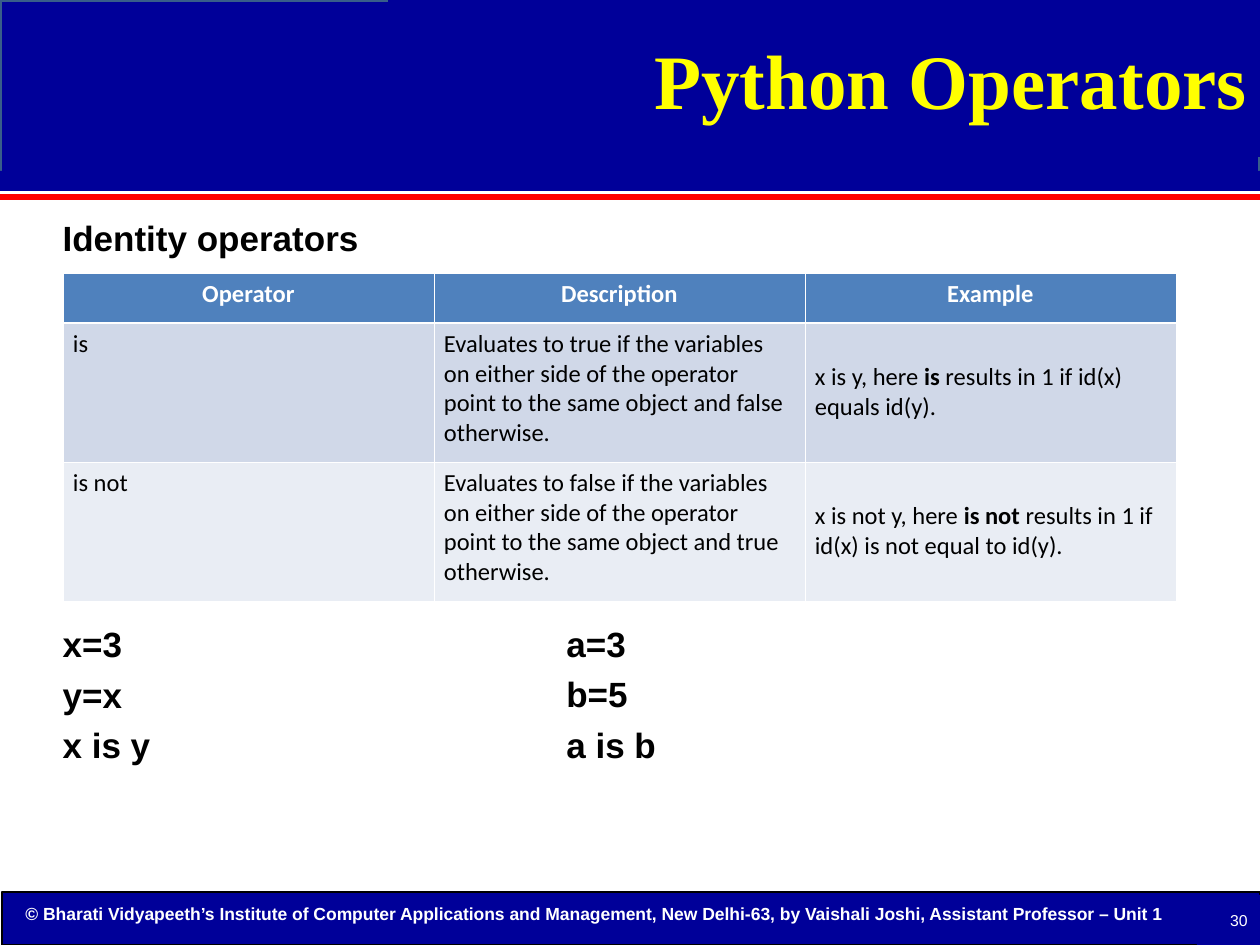
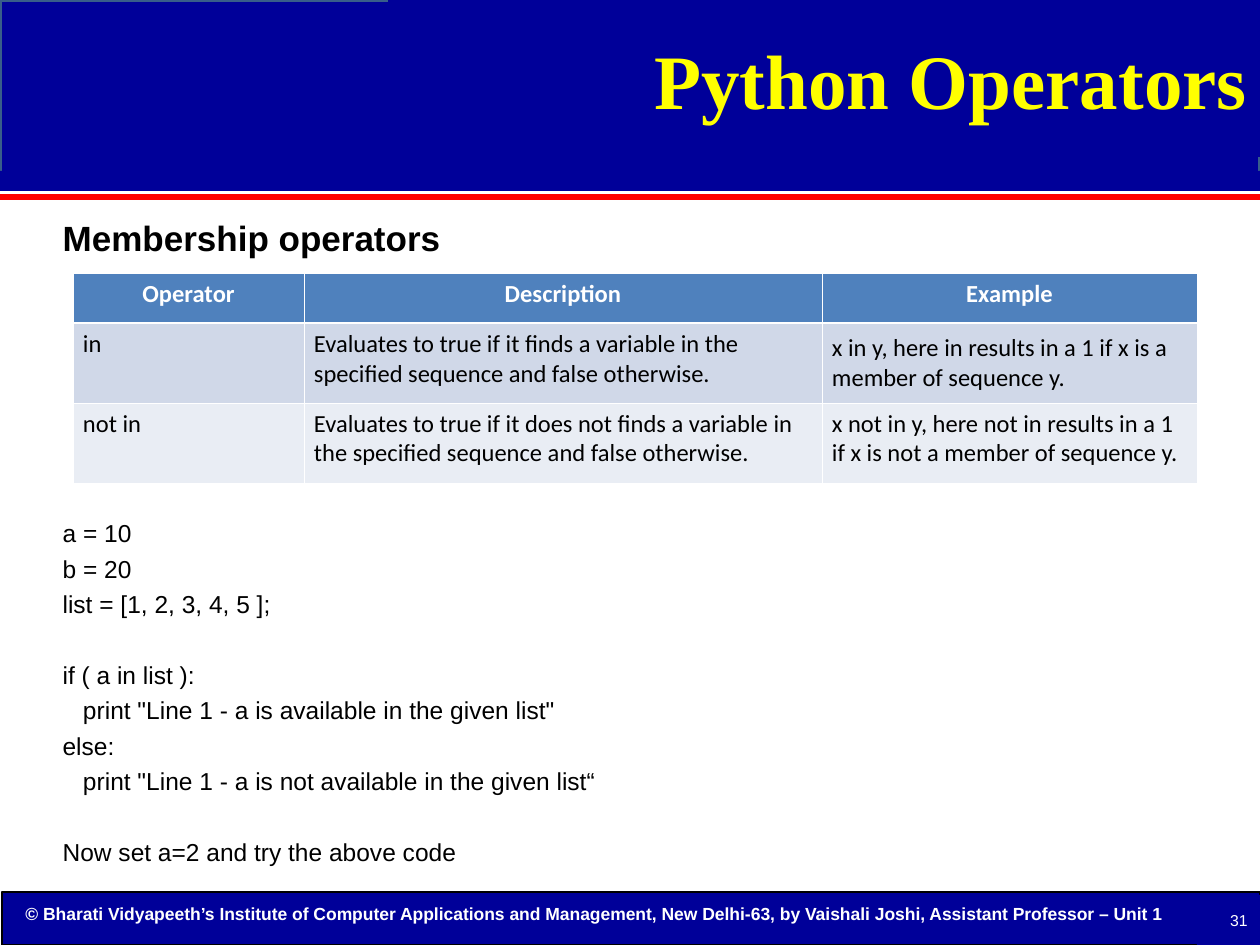
"""Build two slides on Python identity and membership operators."""
import pptx
import pptx.dml.color
import pptx.enum.shapes
import pptx.enum.text
import pptx.oxml
import pptx.oxml.ns
import pptx.util
from lxml import etree

PX = 914400 / 126
Pt = pptx.util.Pt
ALIGN = pptx.enum.text.PP_ALIGN
ANCHOR = pptx.enum.text.MSO_ANCHOR

COLOURS = {
    "navy": "000099", "red": "FF0000", "yellow": "FFFF00", "white": "FFFFFF",
    "black": "000000", "edge": "385D8A", "head": "4F81BD",
    "odd": "D0D8E8", "even": "E9EDF4",
}
RGB = {k: pptx.dml.color.RGBColor.from_string(v) for k, v in COLOURS.items()}

FORMATS = {
    "title": ("yellow", {"name": "Times New Roman", "size": Pt(44), "bold": True}),
    "heading": ("black", {"name": "Arial", "size": Pt(20), "bold": True}),
    "code": ("black", {"name": "Arial", "size": Pt(14), "bold": False}),
    "footer": ("white", {"name": "Arial", "size": Pt(10), "bold": True}),
    "number": ("white", {"name": "Arial", "size": Pt(9), "bold": False}),
    "th": ("white", {"name": "Calibri", "size": Pt(14), "bold": True}),
    "td": ("black", {"name": "Calibri", "size": Pt(14), "bold": False}),
}
FOOTER = ("© Bharati Vidyapeeth’s Institute of Computer Applications and Management, "
          "New Delhi-63, by Vaishali Joshi, Assistant Professor – Unit 1")
BANDS = [
    ((2, 892, 1258, 53), "navy", ("black", 0.75)),
    ((0, 0, 1260, 179), "navy", ("edge", 2)),
    ((0, 171, 1260, 20), "navy", None),
    ((0, 194, 1260, 6), "red", None),
]
HEADER = ["Operator", "Description", "Example"]

SLIDES = [
    {
        "number": "30",
        "body_height": 651,
        "lines": [
            ("Identity operators", "heading", 0),
            ("x=3", "heading", 208),
            ("y=x", "heading", 5),
            ("x is y", "heading", 5),
        ],
        "right_lines": [
            ("a=3", "heading", 0),
            ("b=5", "heading", 5),
            ("a is b", "heading", 5),
        ],
        "table_left": 63,
        "cols": [371, 371, 371],
        "rows": [50, 139, 139],
        "middle_rows": [1, 2],
        "cells": [
            ["is",
             "Evaluates to true if the variables on either side of the operator "
             "point to the same object and false otherwise.",
             "x is y, here *is* results in 1 if id(x) equals id(y)."],
            ["is not",
             "Evaluates to false if the variables on either side of the operator "
             "point to the same object and true otherwise.",
             "x is not y, here *is not* results in 1 if id(x) is not equal to id(y)."],
        ],
    },
    {
        "number": "31",
        "body_height": 661,
        "lines": [
            ("Membership operators", "heading", 0),
            ("a = 10", "code", 148.4),
            ("b = 20", "code", 3.5),
            ("list = [1, 2, 3, 4, 5 ];", "code", 3.5),
            ("if ( a in list ):", "code", 23.5),
            ('   print "Line 1 - a is available in the given list"', "code", 3.5),
            ("else:", "code", 3.5),
            ('   print "Line 1 - a is not available in the given list“', "code", 3.5),
            ("Now set a=2 and try the above code", "code", 23.5),
        ],
        "right_lines": [],
        "table_left": 73,
        "cols": [231, 518, 375],
        "rows": [50, 80, 80],
        "middle_rows": [1],
        "cells": [
            ["in",
             "Evaluates to true if it finds a variable in the specified sequence "
             "and false otherwise.",
             "x in y, here in results in a 1 if x is a member of sequence y."],
            ["not in",
             "Evaluates to true if it does not finds a variable in the specified "
             "sequence and false otherwise.",
             "x not in y, here not in results in a 1 if x is not a member of sequence y."],
        ],
    },
]


def write(p, text, style):
    """Add text to a paragraph, with the parts between asterisks in bold."""
    colour, fmt = FORMATS[style]
    for i, part in enumerate(text.split("*")):
        r = p.add_run()
        r.text = part
        for key, value in fmt.items():
            setattr(r.font, key, value)
        r.font.color.rgb = RGB[colour]
        if i % 2:
            r.font.bold = True


def place(sp, at):
    """Move and size a shape by px values."""
    for key, value in zip(("left", "top", "width", "height"), at):
        setattr(sp, key, round(value * PX))
    return sp


prs = pptx.Presentation()
prs.slide_width, prs.slide_height = round(1260 * PX), round(945 * PX)

for data in SLIDES:
    s = prs.slides.add_slide(prs.slide_layouts[1])
    title, body = s.shapes.title, s.placeholders[1]

    for at, fill, line in BANDS:
        sp = place(s.shapes.add_shape(pptx.enum.shapes.MSO_SHAPE.RECTANGLE, 0, 0, 0, 0), at)
        sp.shadow.inherit = False
        sp.fill.solid()
        sp.fill.fore_color.rgb = RGB[fill]
        if line:
            sp.line.color.rgb = RGB[line[0]]
            sp.line.width = Pt(line[1])
        else:
            sp.line.fill.background()

    footer = place(s.shapes.add_textbox(0, 0, 0, 0), (0, 896, 1187, 34))
    for ph in (body, title):
        s.shapes.element.append(ph.element)
    number = place(s.shapes.add_textbox(0, 0, 0, 0), (1197, 895, 63, 50))
    place(title, (388, 0, 872, 157))
    for sp in (title, number):
        sp.fill.solid()
        sp.fill.fore_color.rgb = RGB["navy"]

    for sp, text, style, align, anchor in [
        (title, "Python Operators", "title", ALIGN.RIGHT, ANCHOR.MIDDLE),
        (footer, FOOTER, "footer", ALIGN.CENTER, ANCHOR.BOTTOM),
        (number, data["number"], "number", ALIGN.RIGHT, ANCHOR.MIDDLE),
    ]:
        tf = sp.text_frame
        tf.word_wrap = True
        tf.auto_size = pptx.enum.text.MSO_AUTO_SIZE.NONE
        tf.vertical_anchor = anchor
        p = tf.paragraphs[0]
        p.alignment = align
        write(p, text, style)

    place(body, (42, 210, 1176, data["body_height"]))
    columns = [(body, data["lines"])]
    if data["right_lines"]:
        right = place(s.shapes.add_textbox(0, 0, 0, 0), (546, 616, 300, 160))
        columns.append((right, data["right_lines"]))
    for sp, lines in columns:
        tf = sp.text_frame
        tf.word_wrap = True
        tf.auto_size = pptx.enum.text.MSO_AUTO_SIZE.NONE
        for i, (text, style, before) in enumerate(lines):
            p = tf.paragraphs[0] if i == 0 else tf.add_paragraph()
            pPr = p._p.get_or_add_pPr()
            pPr.set("marL", str(round(8 * PX)))
            pPr.set("indent", "0")
            etree.SubElement(pPr, pptx.oxml.ns.qn("a:buNone"))
            p.space_before = Pt(before)
            write(p, text, style)

    cols, rows = data["cols"], data["rows"]
    frame = s.shapes.add_table(
        len(rows), len(cols), round(data["table_left"] * PX), round(273 * PX),
        round(sum(cols) * PX), round(sum(rows) * PX))
    table = frame.table
    for col, width in zip(table.columns, cols):
        col.width = round(width * PX)
    for row, height in zip(table.rows, rows):
        row.height = round(height * PX)

    for i, texts in enumerate([HEADER] + data["cells"]):
        for j, text in enumerate(texts):
            cell = table.cell(i, j)
            cell.margin_left = cell.margin_right = round(10 * PX)
            cell.margin_top = cell.margin_bottom = round(6 * PX)
            if j == 2 and i in data["middle_rows"]:
                cell.vertical_anchor = ANCHOR.MIDDLE
            tcPr = cell._tc.get_or_add_tcPr()
            for side in "LRTB":
                thick = (i, side) in [(0, "B"), (1, "T")]
                ln = etree.SubElement(tcPr, pptx.oxml.ns.qn("a:ln" + side),
                                      w=str(Pt(1.47 if thick else 0.45)))
                solid = etree.SubElement(ln, pptx.oxml.ns.qn("a:solidFill"))
                etree.SubElement(solid, pptx.oxml.ns.qn("a:srgbClr"), val=COLOURS["white"])
            cell.fill.solid()
            cell.fill.fore_color.rgb = RGB[("head", "odd", "even")[i]]
            p = cell.text_frame.paragraphs[0]
            p.alignment = ALIGN.LEFT if i else ALIGN.CENTER
            write(p, text, "td" if i else "th")

prs.save("out.pptx")
